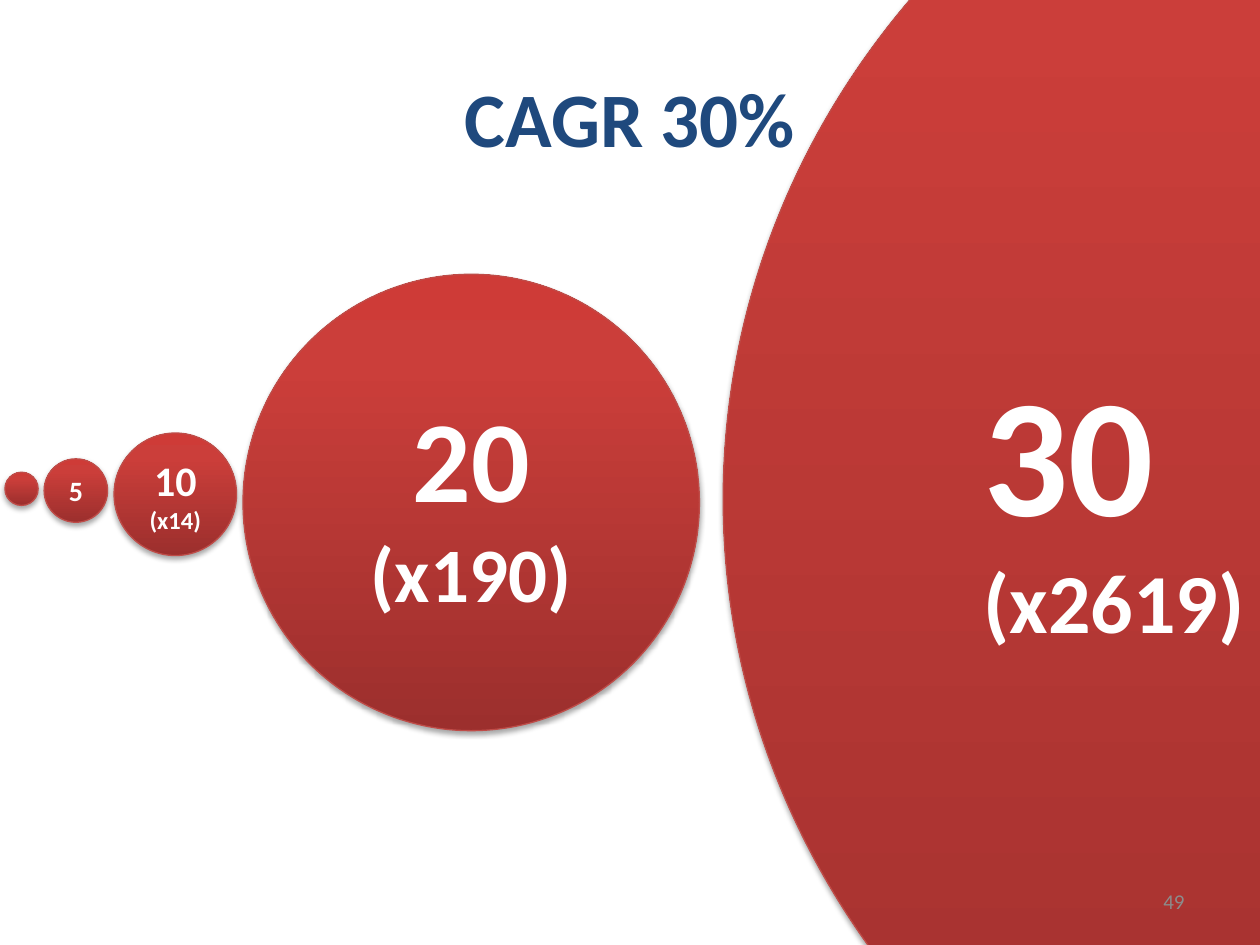
from copy import deepcopy
from dataclasses import dataclass

from lxml.etree import SubElement
from pptx import Presentation
from pptx.dml.color import RGBColor
from pptx.enum.shapes import MSO_SHAPE
from pptx.enum.text import MSO_ANCHOR, PP_ALIGN
from pptx.oxml.ns import qn
from pptx.util import Cm, Pt


@dataclass(frozen=True)
class Theme:
    """Colours, font and type sizes of the slide."""
    font: str = "Calibri"
    title: str = "1F497D"
    number: str = "8C8C8C"
    label: str = "FFFFFF"
    outline: str = "BF4C48"
    shadow: str = "000000"
    gradient: tuple = ((0, "9C2F2D"), (0.8, "CB3E3A"), (1, "CE3B37"))
    title_size: int = 44
    number_size: int = 12


class Painter:
    """Draws styled elements on the current page."""

    def __init__(self, page, theme):
        self.page = page
        self.theme = theme

    def label(self, shape, paragraphs, color, align, bold=True):
        """Fill a shape with paragraphs made of (text, size) spans."""
        frame = shape.text_frame
        frame.word_wrap = True
        frame.vertical_anchor = MSO_ANCHOR.MIDDLE
        for index, spans in enumerate(paragraphs):
            para = frame.add_paragraph() if index else frame.paragraphs[0]
            para.alignment = align
            for text, size in spans:
                span = para.add_run()
                span.text = text.rstrip("\n")
                span.font.name = self.theme.font
                span.font.size = Pt(size)
                span.font.bold = bold
                span.font.color.rgb = RGBColor.from_string(color)
                if text.endswith("\n"):
                    para.add_line_break()

    def text(self, area, text, size, color, align, bold):
        """Place a one-line text box."""
        box = self.page.shapes.add_textbox(*map(Cm, area))
        self.label(box, [[(text, size)]], color, align, bold)

    def bubble(self, area, paragraphs=(), align=PP_ALIGN.CENTER):
        """Place a shaded ellipse with its label."""
        shape = self.page.shapes.add_shape(MSO_SHAPE.OVAL, *map(Cm, area))
        self.shade(shape.fill)
        shape.line.color.rgb = RGBColor.from_string(self.theme.outline)
        shape.line.width = Pt(0.75)
        self.cast_shadow(shape)
        self.label(shape, paragraphs, self.theme.label, align)

    def shade(self, fill):
        """Apply the theme gradient, running from bottom to top."""
        fill.gradient()
        fill.gradient_angle = 90
        first = fill.gradient_stops[0]._gs
        first.addnext(deepcopy(first))
        for stop, (position, color) in zip(fill.gradient_stops, self.theme.gradient):
            stop.position = position
            stop.color.rgb = RGBColor.from_string(color)

    def cast_shadow(self, shape):
        """Give a shape a soft shadow straight below it."""
        shape.shadow.inherit = False
        effects = shape._element.spPr.find(qn("a:effectLst"))
        shadow = SubElement(effects, qn("a:outerShdw"), blurRad=str(Pt(3.1)),
                            dist=str(Pt(1.8)), dir="5400000", rotWithShape="0")
        color = SubElement(shadow, qn("a:srgbClr"), val=self.theme.shadow)
        SubElement(color, qn("a:alpha"), val="35000")


def main():
    """Build the growth slide and save it."""
    deck = Presentation()
    deck.slide_width, deck.slide_height = Cm(25.4), Cm(19.05)
    theme = Theme()
    painter = Painter(deck.slides.add_slide(deck.slide_layouts[6]), theme)

    painter.text((1.27, 0.76, 22.86, 3.18), "CAGR 30%", theme.title_size,
                 theme.title, PP_ALIGN.CENTER, True)
    painter.bubble((0.1, 9.52, 0.67, 0.67))
    painter.bubble((0.89, 9.25, 1.28, 1.28), [[("5", 16)]])
    painter.bubble((2.3, 8.73, 2.47, 2.47), [[("10\n", 24), ("(x14)", 14)]])
    painter.bubble((4.9, 5.53, 9.2, 9.2), [[("20 ", 66), ("(x190)", 44)]])
    painter.bubble((14.58, -6, 34.11, 32.13), [[("30", 96)], [("(x2619)", 48)]],
                   PP_ALIGN.LEFT)
    painter.text((18.2, 17.66, 5.93, 1.01), "49", theme.number_size,
                 theme.number, PP_ALIGN.RIGHT, False)
    deck.save("out.pptx")


if __name__ == "__main__":
    main()
